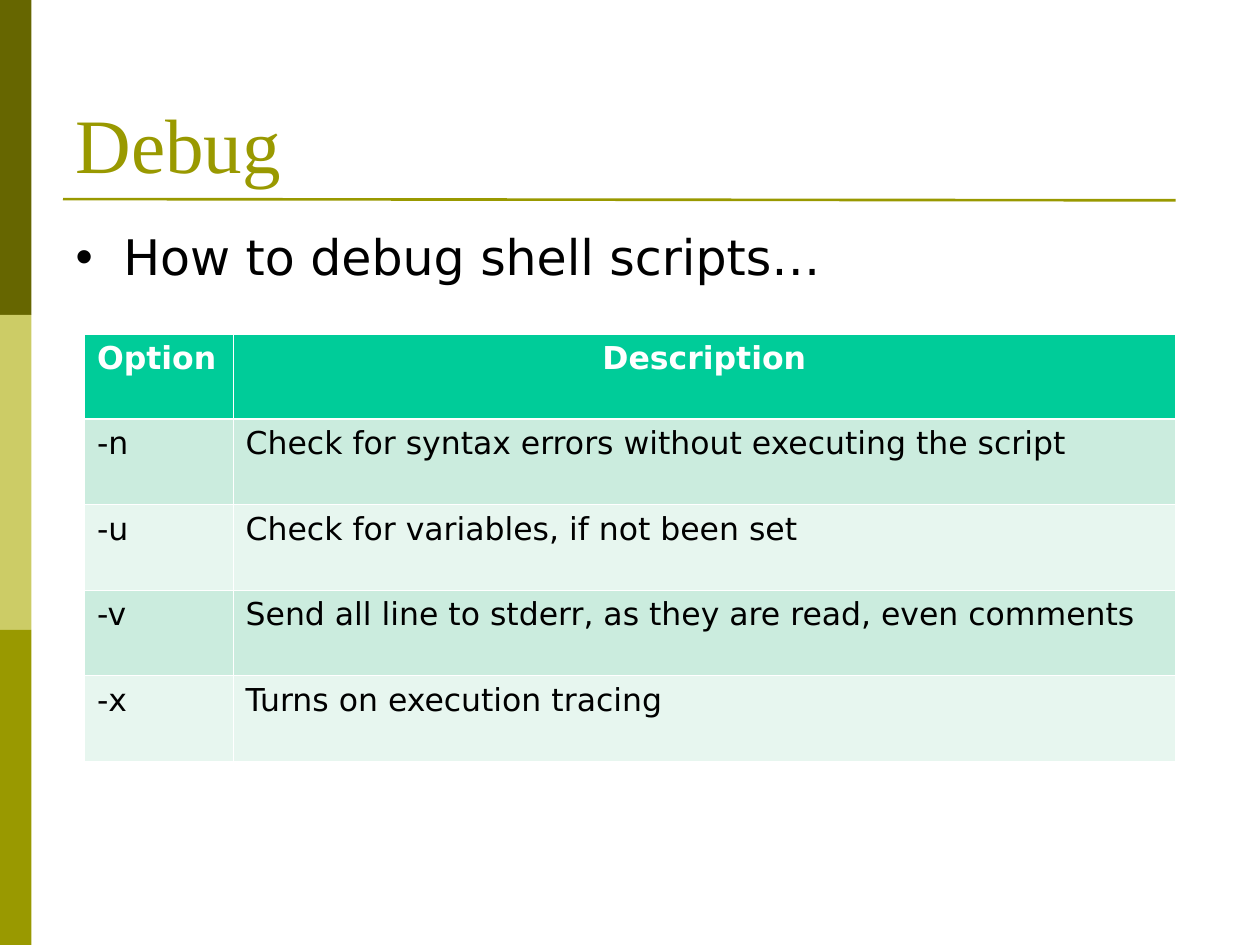
import dataclasses

import lxml.etree
import pptx
import pptx.dml.color
import pptx.enum.shapes
import pptx.enum.text
import pptx.oxml.ns
import pptx.util

PX = 9144
qn = pptx.oxml.ns.qn
ALIGN = pptx.enum.text.PP_ALIGN
ANCHOR = pptx.enum.text.MSO_ANCHOR


@dataclasses.dataclass(frozen=True)
class Theme:
    olive: str = "999900"
    dark_olive: str = "666600"
    light_olive: str = "CCCC66"
    black: str = "000000"
    white: str = "FFFFFF"
    header: str = "00CC99"
    bands: tuple = ("CBECDE", "E7F6EF")
    title_font: str = "Times New Roman"
    body_font: str = "DejaVu Sans"
    title_size: int = 44
    body_size: int = 28
    table_size: int = 18
    rule: float = 1.5
    grid: float = 0.45
    header_rule: float = 1.47


THEME = Theme()
OPTIONS = [
    ("Option", "Description"),
    ("-n", "Check for syntax errors without executing the script"),
    ("-u", "Check for variables, if not been set"),
    ("-v", "Send all line to stderr, as they are read, even comments"),
    ("-x", "Turns on execution tracing"),
]


def emu(*lengths):
    return [pptx.util.Emu(n * PX) for n in lengths]


def rgb(color):
    return pptx.dml.color.RGBColor.from_string(color)


def style(p, font, size, color, bold=False, align=ALIGN.LEFT):
    p.alignment = align
    for r in p.runs:
        r.font.name = font
        r.font.size = pptx.util.Pt(size)
        r.font.color.rgb = rgb(color)
        r.font.bold = bold


def place(sp, box, text, anchor):
    sp.left, sp.top, sp.width, sp.height = emu(*box)
    tf = sp.text_frame
    tf.text = text
    tf.word_wrap = True
    tf.auto_size = pptx.enum.text.MSO_AUTO_SIZE.NONE
    tf.vertical_anchor = anchor
    return tf.paragraphs[0]


def add_sidebar(s, box):
    left, top, width, height = box
    colors = (THEME.dark_olive, THEME.light_olive, THEME.olive)
    step = height // len(colors)
    for i, color in enumerate(colors):
        sp = s.shapes.add_shape(
            pptx.enum.shapes.MSO_SHAPE.RECTANGLE,
            *emu(left, top + i * step, width, step))
        sp.shadow.inherit = False
        sp.fill.solid()
        sp.fill.fore_color.rgb = rgb(color)
        sp.line.fill.background()


def add_title(s, box, text):
    left, top, width, height = box
    p = place(s.shapes.title, box, text, ANCHOR.BOTTOM)
    style(p, THEME.title_font, THEME.title_size, THEME.olive)
    y = top + height + 3
    rule = s.shapes.add_connector(
        pptx.enum.shapes.MSO_CONNECTOR.STRAIGHT,
        *emu(left, y, left + width - 17, y + 1))
    rule.line.color.rgb = rgb(THEME.olive)
    rule.line.width = pptx.util.Pt(THEME.rule)
    lxml.etree.SubElement(rule._element.spPr, qn("a:effectLst"))


def add_body(s, box, text):
    p = place(s.placeholders[1], box, text, ANCHOR.TOP)
    pPr = p._p.get_or_add_pPr()
    indent = 38 * PX
    pPr.set("marL", str(indent))
    pPr.set("indent", str(-indent))
    bullet_color = lxml.etree.SubElement(pPr, qn("a:buClr"))
    lxml.etree.SubElement(bullet_color, qn("a:srgbClr"), val=THEME.black)
    lxml.etree.SubElement(pPr, qn("a:buChar"), char="•")
    p.space_before = pptx.util.Pt(0)
    style(p, THEME.body_font, THEME.body_size, THEME.black)


def set_border(cell, side, width):
    ln = lxml.etree.SubElement(
        cell._tc.get_or_add_tcPr(), qn(f"a:ln{side}"),
        w=str(pptx.util.Pt(width)))
    fill = lxml.etree.SubElement(ln, qn("a:solidFill"))
    lxml.etree.SubElement(fill, qn("a:srgbClr"), val=THEME.white)


def add_options_table(s, box, rows, first_width):
    width = box[2]
    table = s.shapes.add_table(len(rows), len(rows[0]), *emu(*box)).table
    widths = emu(first_width, width - first_width)
    for column, column_width in zip(table.columns, widths):
        column.width = column_width
    for i, row in enumerate(rows):
        is_header = i == 0
        fill = THEME.header if is_header else THEME.bands[(i - 1) % 2]
        color = THEME.white if is_header else THEME.black
        heavy_side = {0: "B", 1: "T"}.get(i)
        for j, text in enumerate(row):
            cell = table.cell(i, j)
            cell.text = text
            for side in "LRTB":
                set_border(cell, side, THEME.header_rule
                           if side == heavy_side else THEME.grid)
            cell.fill.solid()
            cell.fill.fore_color.rgb = rgb(fill)
            align = ALIGN.CENTER if is_header and j == 1 else ALIGN.LEFT
            style(cell.text_frame.paragraphs[0], THEME.body_font,
                  THEME.table_size, color, is_header, align)


def main():
    prs = pptx.Presentation()
    prs.slide_width, prs.slide_height = emu(1000, 750)
    s = prs.slides.add_slide(prs.slide_layouts[1])
    add_sidebar(s, (0, 0, 25, 750))
    add_title(s, (50, -2, 900, 157), "Debug")
    add_body(s, (50, 175, 900, 495), "How to debug shell scripts…")
    add_options_table(s, (67, 265, 866, 339), OPTIONS, 118)
    prs.save("out.pptx")


if __name__ == "__main__":
    main()
